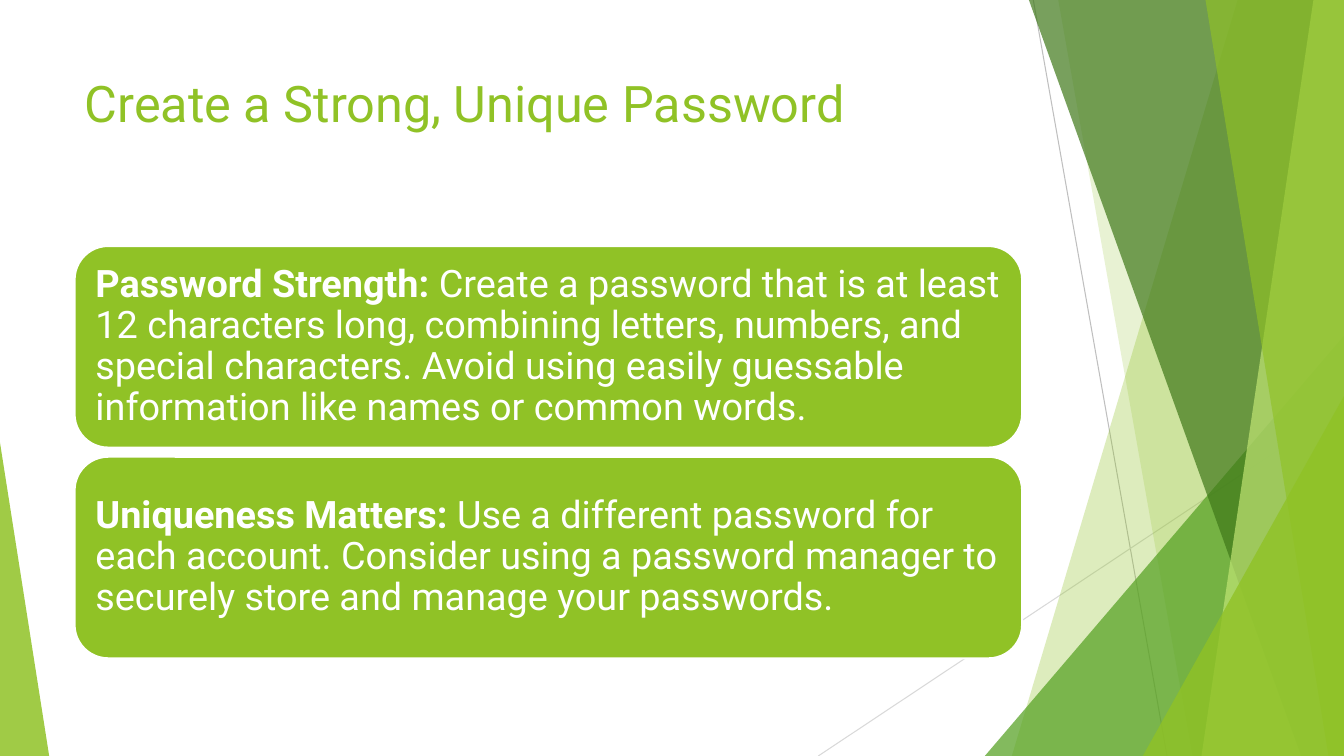
from lxml import etree
from pptx import Presentation
from pptx.dml.color import RGBColor
from pptx.enum.shapes import MSO_CONNECTOR, MSO_SHAPE
from pptx.enum.text import MSO_ANCHOR, PP_ALIGN
from pptx.oxml.ns import qn
from pptx.util import Cm, Pt

WIDTH, HEIGHT = 33.87, 19.05  # centimetres, like all lengths below
FONT = "Roboto"
WHITE = RGBColor(0xFF, 0xFF, 0xFF)
GREEN = RGBColor(0x90, 0xC2, 0x26)
MID_GREEN = RGBColor(0x54, 0xA0, 0x21)
DARK_GREEN = RGBColor(0x3F, 0x78, 0x19)
PALE_GREEN = RGBColor(0xC0, 0xE4, 0x74)
GREY = RGBColor(0xBF, 0xBF, 0xBF)
LIGHT_GREY = RGBColor(0xD9, 0xD9, 0xD9)

CARDS = [
    ("Password Strength:",
     " Create a password that is at least 12 characters long, combining letters, "
     "numbers, and special characters. Avoid using easily guessable information "
     "like names or common words."),
    ("Uniqueness Matters:",
     " Use a different password for each account. Consider using a password "
     "manager to securely store and manage your passwords."),
]


def style_font(font, size, color):
    font.name, font.size = FONT, Pt(size)
    font.color.rgb = color


def paint(shape, color, opacity):
    """Give a shape a translucent fill without outline or shadow."""
    shape.shadow.inherit = False
    shape.line.fill.background()
    shape.fill.solid()
    shape.fill.fore_color.rgb = color
    solid = shape.fill._xPr.find(qn("a:solidFill"))
    etree.SubElement(solid[0], qn("a:alpha"), val=str(opacity * 1000))


def add_hairline(slide, start, end, color):
    line = slide.shapes.add_connector(
        MSO_CONNECTOR.STRAIGHT, *(Cm(value) for value in start + end))
    line.line.color.rgb = color
    line.line.width = Pt(0.75)
    etree.SubElement(line._element.spPr, qn("a:effectLst"))


def add_facet(slide, top_x, bottom_x, color, opacity):
    """Fill everything right of a slanted edge, up to the slide's right side."""
    corners = [(top_x, 0), (WIDTH, 0), (WIDTH, HEIGHT), (bottom_x, HEIGHT)]
    points = [(Cm(x), Cm(y)) for x, y in corners]
    builder = slide.shapes.build_freeform(*points[0])
    builder.add_line_segments(points[1:], close=True)
    paint(builder.convert_to_shape(), color, opacity)


def add_corner(slide, left, right, top, apex, color, opacity):
    """Right triangle standing on the bottom edge; apex 0 is left, 1 is right."""
    triangle = slide.shapes.add_shape(
        MSO_SHAPE.ISOSCELES_TRIANGLE,
        Cm(left), Cm(top), Cm(right - left), Cm(HEIGHT - top))
    triangle.adjustments[0] = apex
    paint(triangle, color, opacity)


def add_decoration(slide):
    add_hairline(slide, (26.04, 0), (29.41, HEIGHT), GREY)
    add_hairline(slide, (WIDTH, 10.24), (20.62, HEIGHT), LIGHT_GREY)
    add_facet(slide, 31.19, 25.5, GREEN, 30)
    add_facet(slide, 26.67, 30.05, GREEN, 20)
    add_corner(slide, 24.82, WIDTH, 8.46, 1, MID_GREEN, 72)
    add_facet(slide, 25.93, 32.79, DARK_GREEN, 70)
    add_facet(slide, 33.1, 30.28, PALE_GREEN, 70)
    add_facet(slide, 30.38, 33.48, GREEN, 65)
    add_corner(slide, 28.8, WIDTH, 9.98, 1, GREEN, 80)
    add_corner(slide, 0, 1.24, 11.15, 0, GREEN, 85)


def add_title(slide, left, top, width, height):
    title = slide.shapes.title
    title.left, title.top = Cm(left), Cm(top)
    title.width, title.height = Cm(width), Cm(height)
    frame = title.text_frame
    frame.text = "Create a Strong, Unique Password"
    frame.vertical_anchor = MSO_ANCHOR.TOP
    paragraph = frame.paragraphs[0]
    paragraph.alignment = PP_ALIGN.LEFT
    style_font(paragraph.font, 36, GREEN)


def add_card(slide, left, top, width, height, heading, body):
    card = slide.shapes.add_shape(
        MSO_SHAPE.ROUNDED_RECTANGLE, Cm(left), Cm(top), Cm(width), Cm(height))
    card.shadow.inherit = False
    card.fill.solid()
    card.fill.fore_color.rgb = GREEN
    card.line.color.rgb = WHITE
    card.line.width = Pt(1.5)
    frame = card.text_frame
    frame.word_wrap = True
    frame.vertical_anchor = MSO_ANCHOR.MIDDLE
    frame.margin_left = frame.margin_right = Cm(0.28)
    frame.margin_top = frame.margin_bottom = Cm(0.28)
    paragraph = frame.paragraphs[0]
    paragraph.alignment = PP_ALIGN.LEFT
    paragraph.line_spacing = 0.9
    paragraph.space_after = Pt(9.45)
    for text, bold in ((heading, True), (body, False)):
        run = paragraph.add_run()
        run.text = text
        style_font(run.font, 27, WHITE)
        run.font.bold = bold


def add_cards(slide, left, top, width, height, gap):
    """Stack the cards in equal heights with a gap between them."""
    card_height = (height - gap * (len(CARDS) - 1)) / len(CARDS)
    for index, (heading, body) in enumerate(CARDS):
        card_top = top + index * (card_height + gap)
        add_card(slide, left, card_top, width, card_height, heading, body)


def main():
    presentation = Presentation()
    presentation.slide_width, presentation.slide_height = Cm(WIDTH), Cm(HEIGHT)
    slide = presentation.slides.add_slide(presentation.slide_layouts[5])
    add_decoration(slide)
    add_title(slide, 1.88, 1.7, 23.88, 3.66)
    add_cards(slide, 1.88, 6.2, 23.88, 10.39, 0.23)
    presentation.save("out.pptx")


if __name__ == "__main__":
    main()
